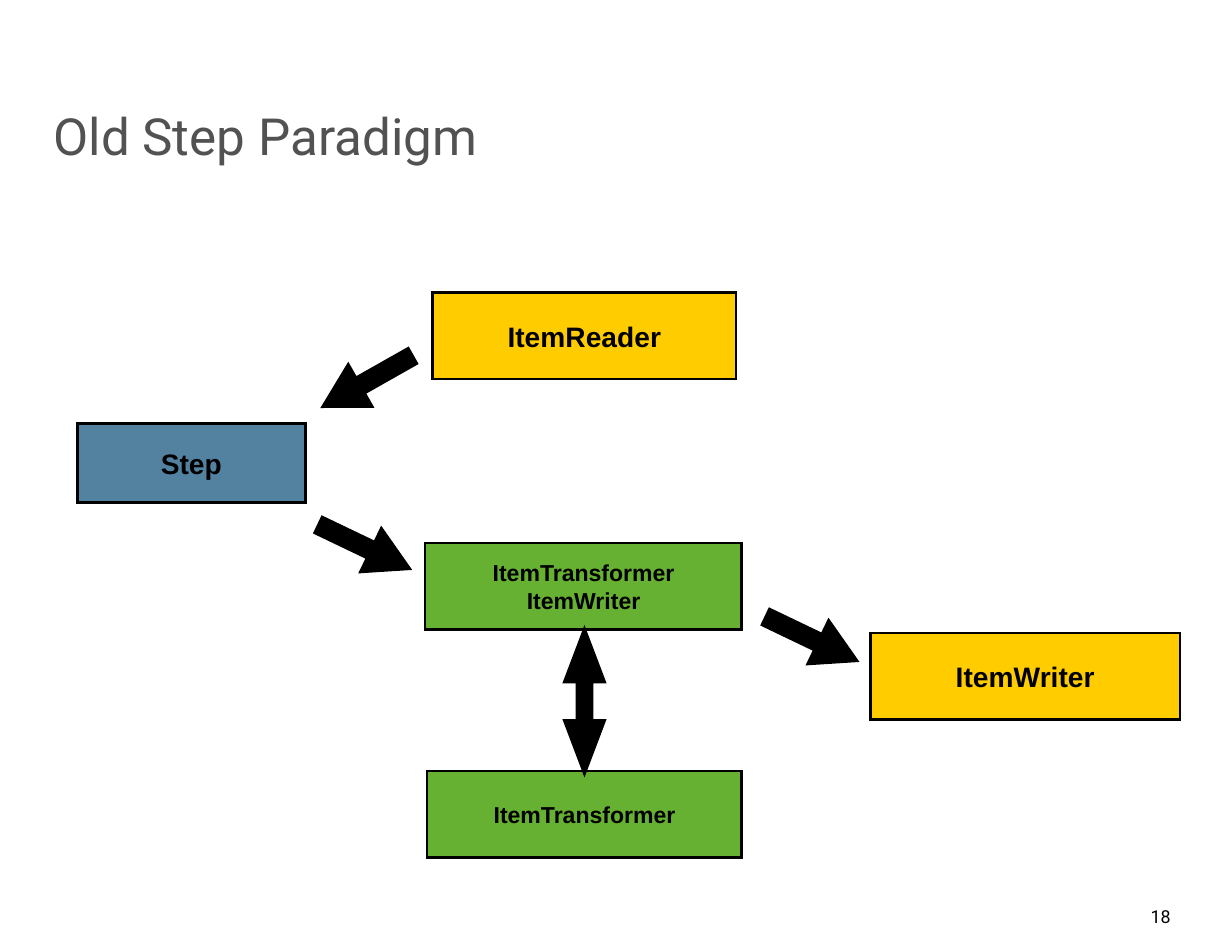
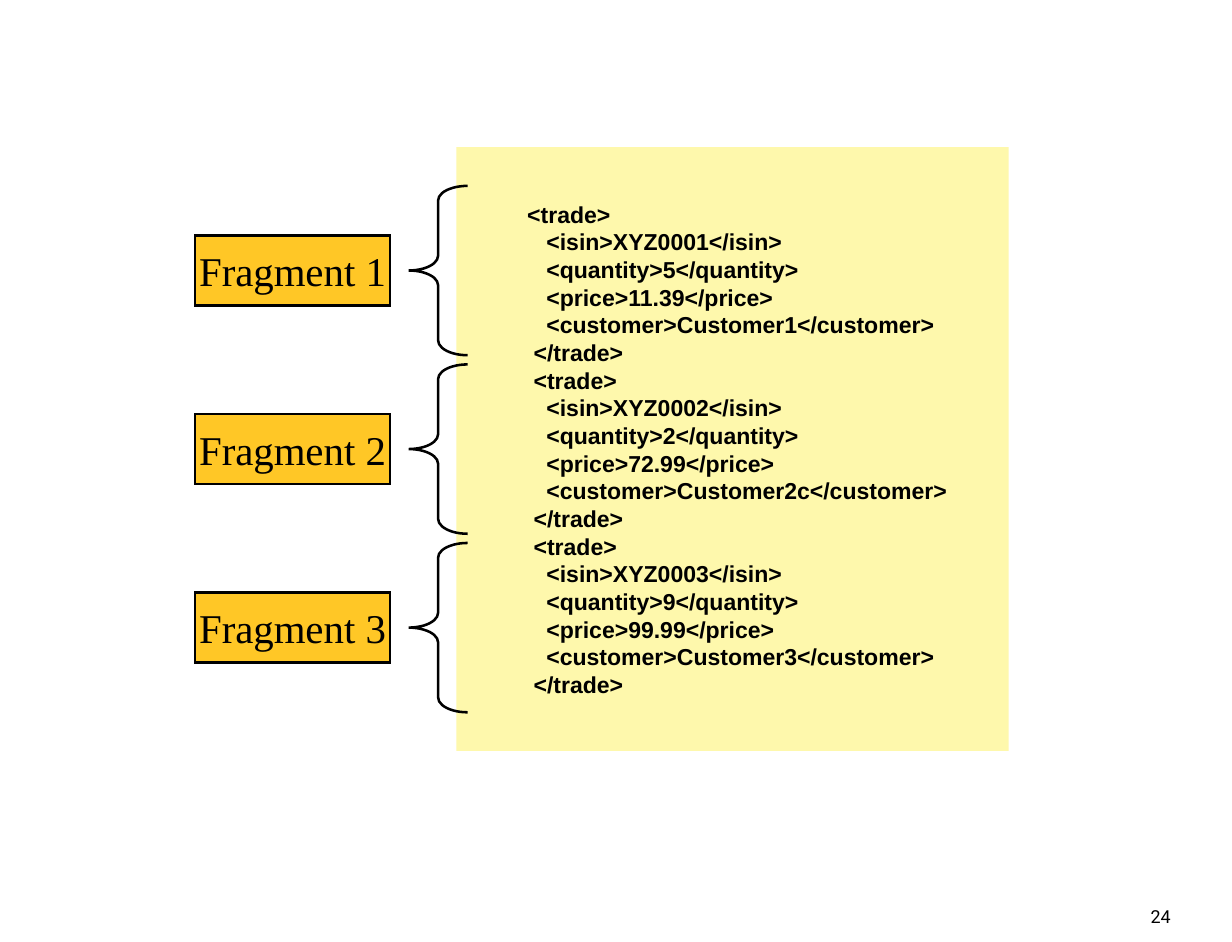
"""Builds two slides: the old step paradigm and XML trade fragments."""
from lxml import etree
from pptx import Presentation
from pptx.dml.color import RGBColor
from pptx.enum.shapes import MSO_SHAPE
from pptx.enum.text import MSO_ANCHOR, MSO_AUTO_SIZE, PP_ALIGN
from pptx.oxml.ns import qn
from pptx.util import Cm, Inches, Pt

RECT, BRACE = MSO_SHAPE.RECTANGLE, MSO_SHAPE.LEFT_BRACE
RIGHT, BOTH = MSO_SHAPE.RIGHT_ARROW, MSO_SHAPE.LEFT_RIGHT_ARROW
LEFT_AL, CENTER_AL, RIGHT_AL = PP_ALIGN.LEFT, PP_ALIGN.CENTER, PP_ALIGN.RIGHT
TOP, MIDDLE, BOTTOM = MSO_ANCHOR.TOP, MSO_ANCHOR.MIDDLE, MSO_ANCHOR.BOTTOM
NO_FIT = MSO_AUTO_SIZE.NONE

COLORS = {"black": "000000", "title": "525252", "blue": "5382A1", "yellow": "FFCC00",
          "green": "66B132", "panel": "FEF8AC", "amber": "FFC726"}

TITLE = "Old Step Paradigm"
BOXES = [
    (["Step"], (0.42, 2.3, 1.24, 0.43), "blue", 11),
    (["ItemWriter"], (4.73, 3.44, 1.68, 0.47), "yellow", 11),
    (["ItemReader"], (2.35, 1.59, 1.65, 0.47), "yellow", 11),
    (["ItemTransformer", "ItemWriter"], (2.31, 2.95, 1.72, 0.47), "green", 9),
    (["ItemTransformer"], (2.32, 4.19, 1.71, 0.47), "green", 9),
]
ARROWS = [
    (RIGHT, (1.73, 1.95, 0.54, 0.24), 150.5, (0.34, 0.89)),
    (RIGHT, (1.71, 2.85, 0.53, 0.24), 25.6, (0.34, 0.89)),
    (BOTH, (2.8, 3.71, 0.75, 0.2), 90, (0.35, 1.32)),
    (RIGHT, (4.14, 3.35, 0.53, 0.24), 25.6, (0.34, 0.89)),
]
TRADES = [
    ("XYZ0001", "5", "11.39", "Customer1"),
    ("XYZ0002", "2", "72.99", "Customer2c"),
    ("XYZ0003", "9", "99.99", "Customer3"),
]
TAGS = ("isin", "quantity", "price", "customer")
FRAGMENT_PITCH = 0.97


def rgb(name):
    return RGBColor.from_string(COLORS[name])


def write(tf, lines, size, font="Arial", color="black", bold=False,
          align=CENTER_AL, anchor=MIDDLE, margins=(0, 0, 0, 0)):
    tf.word_wrap = True
    tf.auto_size = NO_FIT
    tf.vertical_anchor = anchor
    tf.margin_left, tf.margin_top, tf.margin_right, tf.margin_bottom = map(Inches, margins)
    for i, line in enumerate(lines):
        p = tf.add_paragraph() if i else tf.paragraphs[0]
        p.text = line
        p.alignment = align
        p.font.size, p.font.name, p.font.bold = Pt(size), font, bold
        p.font.color.rgb = rgb(color)


def add_shape(s, kind, at, fill=None, line=None, adjust=()):
    sp = s.shapes.add_shape(kind, *map(Inches, at))
    sp.shadow.inherit = False
    if fill:
        sp.fill.solid()
        sp.fill.fore_color.rgb = rgb(fill)
    else:
        sp.fill.background()
    if line:
        sp.line.color.rgb = rgb("black")
        sp.line.width = Pt(line)
        ln = sp.element.spPr.find(qn("a:ln"))
        etree.SubElement(ln, qn("a:miter"), lim="800000")
    else:
        sp.line.fill.background()
    for i, value in enumerate(adjust):
        sp.adjustments[i] = value
    return sp


def add_slide(prs, layout, number):
    s = prs.slides.add_slide(prs.slide_layouts[layout])
    tb = s.shapes.add_textbox(*map(Inches, (6.01, 4.9, 0.4, 0.16)))
    write(tb.text_frame, [number], 7, "Roboto", align=RIGHT_AL, anchor=TOP,
          margins=(0.05, 0.02, 0.05, 0.02))
    return s


def step_slide(prs):
    s = add_slide(prs, 5, "18")
    title = s.shapes.title
    title.left, title.top, title.width, title.height = map(Inches, (0.29, 0.17, 6.13, 0.73))
    write(title.text_frame, [TITLE], 20, "Roboto", "title", align=LEFT_AL, anchor=BOTTOM)
    for lines, at, fill, size in BOXES:
        write(add_shape(s, RECT, at, fill, 1).text_frame, lines, size, bold=True)
    for kind, at, angle, adjust in ARROWS:
        add_shape(s, kind, at, "black", 2, adjust).rotation = angle


def fragment_slide(prs):
    s = add_slide(prs, 6, "24")
    code = []
    for trade in TRADES:
        code.append("  <trade>" if code else " <trade>")
        code += [f"    <{tag}>{value}</{tag}>" for tag, value in zip(TAGS, trade)]
        code.append("  </trade>")
    panel = add_shape(s, RECT, (2.48, 0.8, 3, 3.28), "panel")
    write(panel.text_frame, code, 9, bold=True, align=LEFT_AL, margins=(0.35, 0, 0, 0))
    for i in range(len(TRADES)):
        offset = i * FRAGMENT_PITCH
        add_shape(s, BRACE, (2.22, 1.01 + offset, 0.32, 0.92), line=1, adjust=(0.25, 0.5))
        label = add_shape(s, RECT, (1.06, 1.28 + offset, 1.06, 0.38), "amber", 1)
        write(label.text_frame, [f"Fragment {i + 1}"], 16, "Times New Roman")
        label.text_frame.word_wrap = False


def main():
    prs = Presentation()
    prs.slide_width, prs.slide_height = Cm(17), Cm(13)
    step_slide(prs)
    fragment_slide(prs)
    prs.save("out.pptx")


if __name__ == "__main__":
    main()
